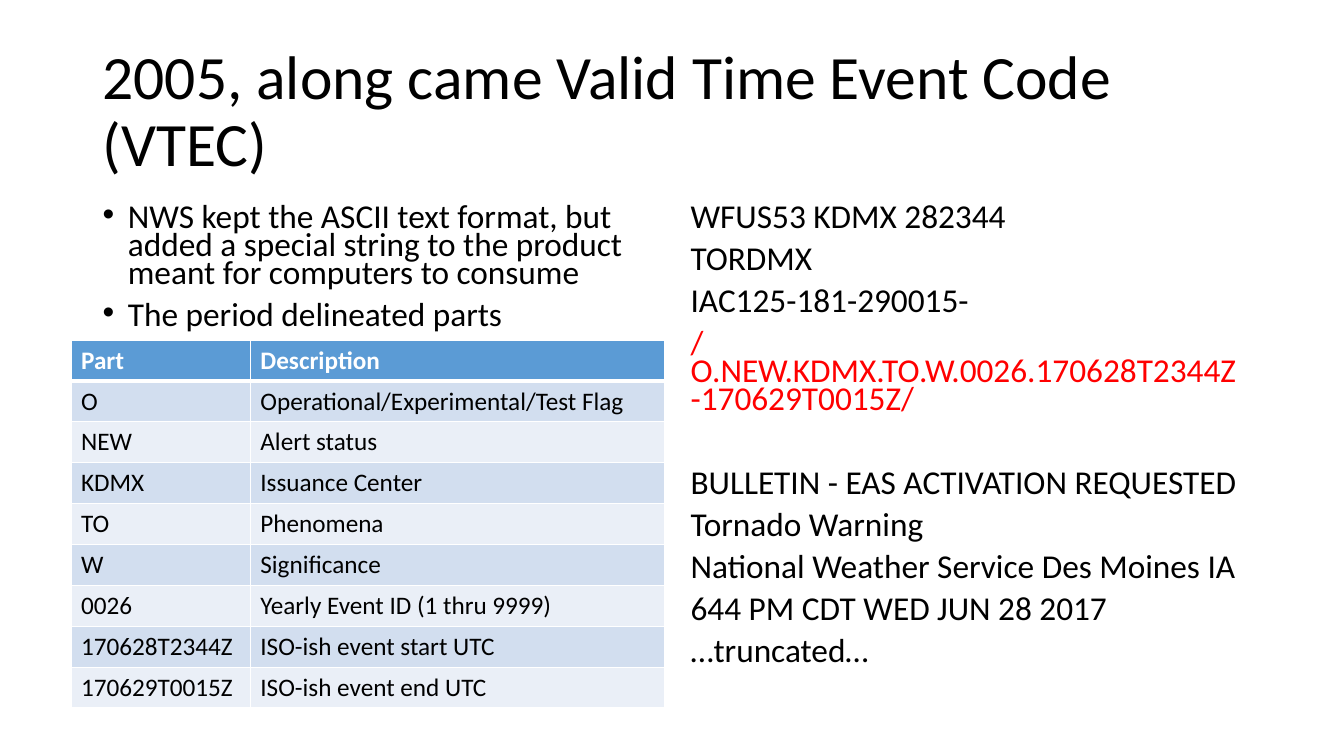
from lxml import etree
from pptx import Presentation
from pptx import util as u
from pptx.dml import color
from pptx.enum import text
from pptx.oxml import ns

COLORS = {"text": "000000", "alert": "FF0000", "white": "FFFFFF",
          "header": "5B9BD5", "odd": "D2DEEF", "even": "EAEFF7"}


class SlideBuilder:
    font_name = "Calibri"
    body_size = 23.8
    table_size = 18
    indent = u.Cm(0.64)

    def __init__(self, slide):
        self.slide = slide

    def rgb(self, name):
        return color.RGBColor.from_string(COLORS[name])

    def style(self, paragraph, size, color_name="text", bold=False):
        font = paragraph.font
        font.name = self.font_name
        font.size = u.Pt(size)
        font.bold = bold
        font.color.rgb = self.rgb(color_name)

    def place(self, index, box):
        shape = self.slide.placeholders[index]
        shape.left, shape.top, shape.width, shape.height = map(u.Cm, box)
        shape.text_frame.auto_size = text.MSO_AUTO_SIZE.NONE
        return shape.text_frame

    def title(self, content, box):
        frame = self.place(0, box)
        frame.vertical_anchor = text.MSO_ANCHOR.MIDDLE
        frame.text = content
        paragraph = frame.paragraphs[0]
        paragraph.alignment = text.PP_ALIGN.LEFT
        paragraph.line_spacing = 0.9
        self.style(paragraph, 44)

    def body(self, index, lines, box, bulleted=False, alerts=(), section_starts=()):
        frame = self.place(index, box)
        frame.text = "\n".join(lines)
        for line, paragraph in zip(lines, frame.paragraphs):
            paragraph.line_spacing = 0.7
            paragraph.space_before = u.Pt(40 if line in section_starts else 10)
            self.bullet(paragraph, bulleted)
            self.style(paragraph, self.body_size, "alert" if line in alerts else "text")

    def bullet(self, paragraph, bulleted):
        properties = paragraph._p.get_or_add_pPr()
        margin = self.indent if bulleted else 0
        properties.set("marL", str(margin))
        properties.set("indent", str(-margin))
        if bulleted:
            etree.SubElement(properties, ns.qn("a:buFont"), typeface="Arial")
            etree.SubElement(properties, ns.qn("a:buChar"), char="•")
        else:
            etree.SubElement(properties, ns.qn("a:buNone"))

    def borders(self, cell, bottom_width):
        properties = cell._tc.get_or_add_tcPr()
        for side, width in (("L", 1), ("R", 1), ("T", 1), ("B", bottom_width)):
            line = etree.SubElement(properties, ns.qn(f"a:ln{side}"), w=str(u.Pt(width)))
            fill = etree.SubElement(line, ns.qn("a:solidFill"))
            etree.SubElement(fill, ns.qn("a:srgbClr"), val=COLORS["white"])

    def table(self, rows, left, top, column_widths, row_height):
        table = self.slide.shapes.add_table(
            len(rows), len(column_widths), u.Cm(left), u.Cm(top),
            u.Cm(sum(column_widths)), u.Cm(row_height * len(rows))).table
        for column, width in zip(table.columns, column_widths):
            column.width = u.Cm(width)
        for row_index, values in enumerate(rows):
            table.rows[row_index].height = u.Cm(row_height)
            is_header = row_index == 0
            fill_name = "header" if is_header else "odd" if row_index % 2 else "even"
            for column_index, value in enumerate(values):
                cell = table.cell(row_index, column_index)
                cell.text = value
                self.borders(cell, 3 if is_header else 1)
                cell.fill.solid()
                cell.fill.fore_color.rgb = self.rgb(fill_name)
                self.style(cell.text_frame.paragraphs[0], self.table_size,
                           "white" if is_header else "text", is_header)


BULLETS = [
    "NWS kept the ASCII text format, but added a special string to the product "
    "meant for computers to consume",
    "The period delineated parts",
]
VTEC = "/O.NEW.KDMX.TO.W.0026.170628T2344Z-170629T0015Z/"
BULLETIN = "BULLETIN - EAS ACTIVATION REQUESTED"
WARNING = [
    "WFUS53 KDMX 282344",
    "TORDMX",
    "IAC125-181-290015-",
    VTEC,
    BULLETIN,
    "Tornado Warning",
    "National Weather Service Des Moines IA",
    "644 PM CDT WED JUN 28 2017",
    "…truncated…",
]
VTEC_PARTS = [
    ("Part", "Description"),
    ("O", "Operational/Experimental/Test Flag"),
    ("NEW", "Alert status"),
    ("KDMX", "Issuance Center"),
    ("TO", "Phenomena"),
    ("W", "Significance"),
    ("0026", "Yearly Event ID (1 thru 9999)"),
    ("170628T2344Z", "ISO-ish event start UTC"),
    ("170629T0015Z", "ISO-ish event end UTC"),
]

presentation = Presentation()
presentation.slide_width = u.Cm(33.87)
presentation.slide_height = u.Cm(19.05)
builder = SlideBuilder(presentation.slides.add_slide(presentation.slide_layouts[3]))
builder.title("2005, along came Valid Time Event Code (VTEC)", (2.33, 1.01, 29.21, 3.68))
builder.body(1, BULLETS, (2.33, 5.07, 14.4, 12.09), bulleted=True)
builder.body(2, WARNING, (17.15, 5.07, 14.4, 12.09), alerts=[VTEC], section_starts=[BULLETIN])
builder.table(VTEC_PARTS, 1.79, 8.57, (4.52, 10.43), 1.03)
presentation.save("out.pptx")
